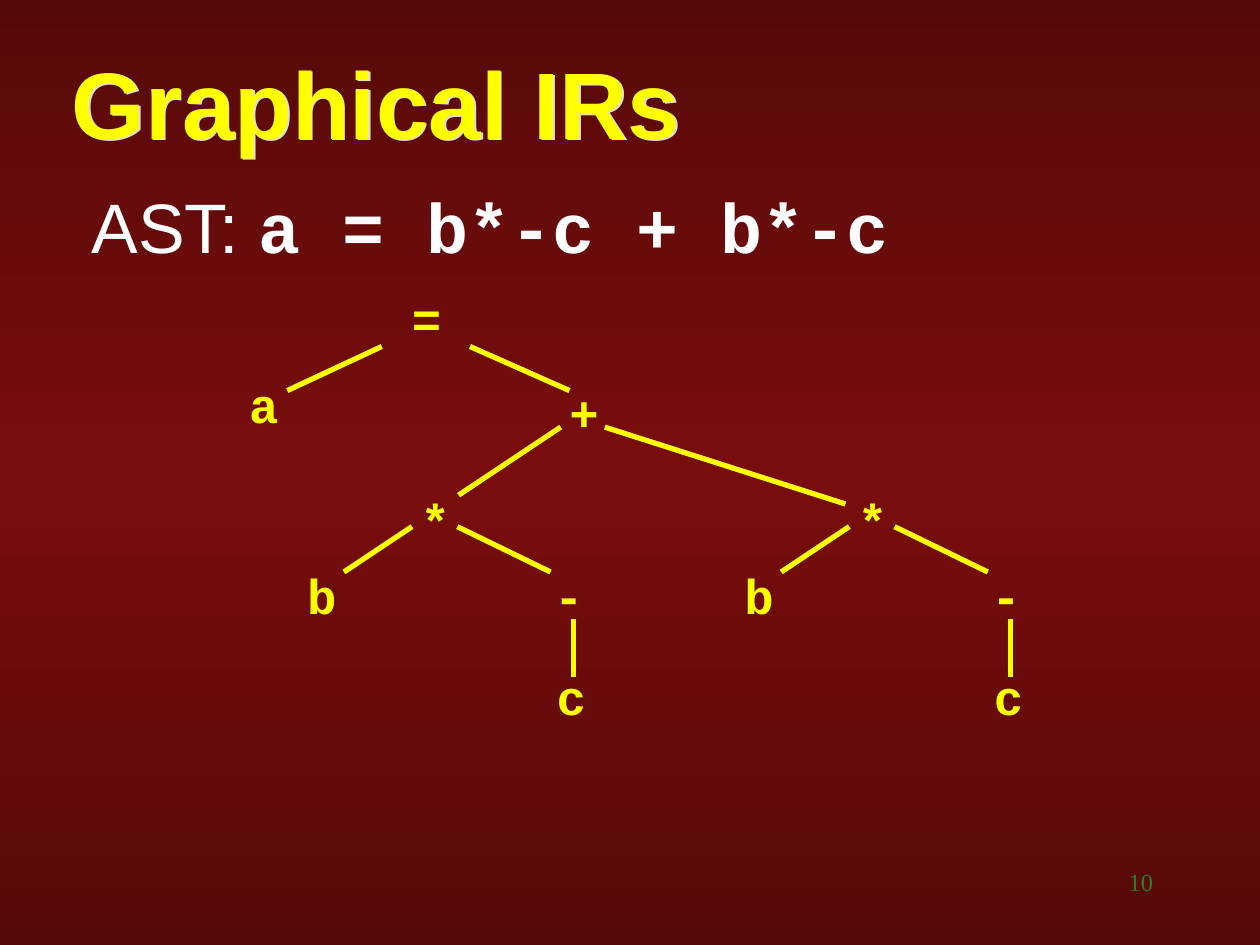
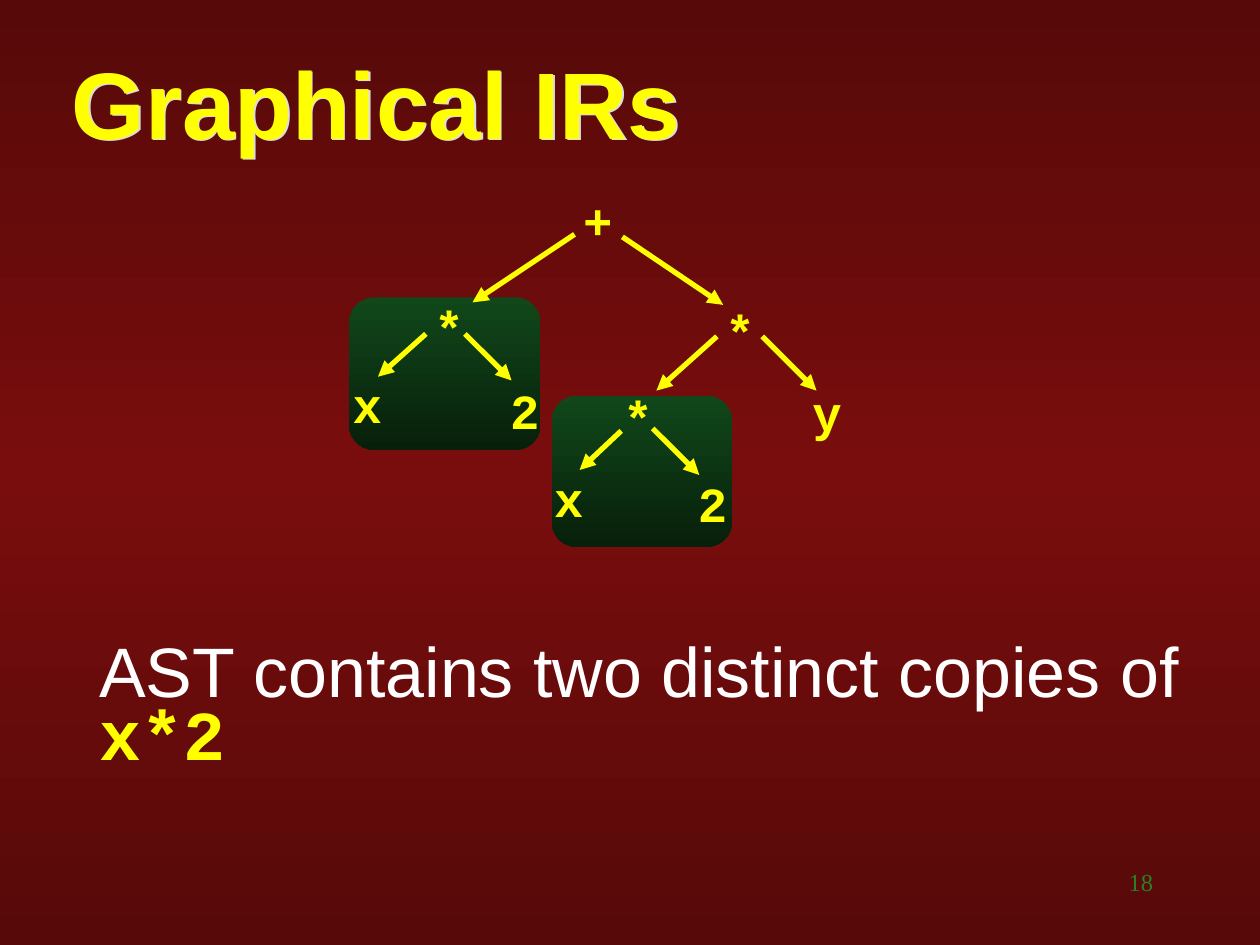
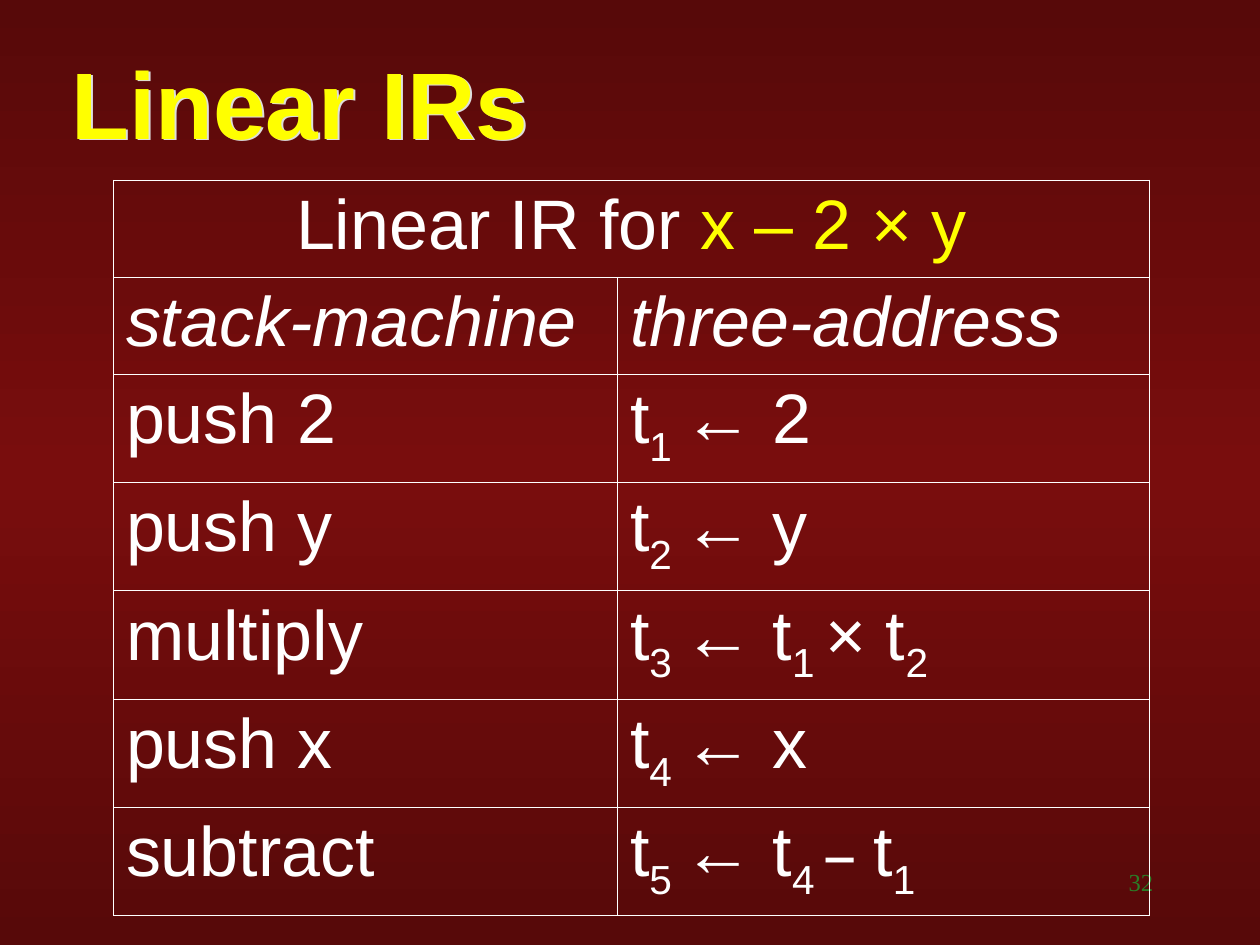
from dataclasses import dataclass

from lxml.etree import SubElement
from pptx import Presentation
from pptx.dml.color import RGBColor
from pptx.enum.shapes import MSO_CONNECTOR, MSO_SHAPE
from pptx.enum.text import MSO_ANCHOR, MSO_AUTO_SIZE as AutoSize, PP_ALIGN as Align
from pptx.oxml.ns import qn
from pptx.util import Inches, Pt

YELLOW = RGBColor(0xFF, 0xFF, 0x00)
WHITE = RGBColor(0xFF, 0xFF, 0xFF)
SHADOW = RGBColor(0xDD, 0xDD, 0xDD)
NUMBER_GREEN = RGBColor(0x2B, 0x7D, 0x27)
DARK_RED = RGBColor(0x57, 0x09, 0x09)
RED = RGBColor(0x79, 0x0D, 0x0D)
GREEN = RGBColor(0x11, 0x47, 0x1A)
DARK_GREEN = RGBColor(0x07, 0x20, 0x0B)

SANS, MONO, SERIF, DASH_FONT = "Arial", "Courier New", "Times New Roman", "League Spartan"
BODY_SIZE = 40


@dataclass(frozen=True)
class Span:
    text: str
    colour: RGBColor = WHITE
    font: str = SANS
    bold: bool = False
    italic: bool = False
    subscript: bool = False


@dataclass(frozen=True)
class Node:
    text: str
    left: float
    top: float


@dataclass(frozen=True)
class Edge:
    x1: float
    y1: float
    x2: float
    y2: float


@dataclass(frozen=True)
class Box:
    left: float
    top: float
    width: float
    height: float

    def lengths(self) -> list:
        return [Inches(n) for n in (self.left, self.top, self.width, self.height)]


TITLE_BOX = Box(0.47, 0.39, 9.2, 0.83)
NUMBER_BOX = Box(7.17, 6.83, 2.08, 0.5)

ASSIGNMENT_NODES = [Node("=", 3.17, 2.24), Node("a", 1.88, 2.92), Node("+", 4.42, 2.99)]
ASSIGNMENT_EDGES = [
    Edge(3.03, 2.75, 2.28, 3.1), Edge(3.73, 2.75, 4.52, 3.1),
    Edge(4.45, 3.39, 3.64, 3.93), Edge(4.8, 3.39, 6.71, 4),
]
PRODUCT_NODES = [
    Node("*", 3.24, 3.84), Node("b", 2.34, 4.44), Node("-", 4.3, 4.44), Node("c", 4.32, 5.24),
]
PRODUCT_EDGES = [
    Edge(3.27, 4.18, 2.73, 4.54), Edge(3.63, 4.18, 4.37, 4.54), Edge(4.55, 4.91, 4.55, 5.37),
]
PRODUCT_SHIFT = 3.47

COPY_BOXES = [Box(2.77, 2.36, 1.52, 1.21), Box(4.38, 3.14, 1.43, 1.2)]
SUM_NODES = [
    Node("+", 4.53, 1.46),
    Node("*", 3.35, 2.31), Node("x", 2.7, 2.92), Node("2", 3.95, 2.97),
    Node("*", 5.66, 2.34), Node("y", 6.35, 2.99),
    Node("*", 4.85, 3.03), Node("x", 4.3, 3.67), Node("2", 5.44, 3.71),
]
SUM_EDGES = [
    Edge(4.56, 1.86, 3.75, 2.4), Edge(4.94, 1.88, 5.74, 2.42),
    Edge(3.38, 2.65, 3, 2.99), Edge(3.69, 2.65, 4.06, 3.02),
    Edge(5.69, 2.67, 5.21, 3.1), Edge(6.05, 2.67, 6.48, 3.1),
    Edge(4.93, 3.42, 4.6, 3.73), Edge(5.18, 3.4, 5.55, 3.77),
]


def address(text: str) -> list[Span]:
    """Split at bars; every second part is a subscript."""
    return [Span(part, subscript=index % 2 == 1) for index, part in enumerate(text.split("|"))]


TABLE_BOX = Box(0.9, 1.43, 8.22, 5.44)
COLUMN_WIDTHS = [4, 4.22]
ROW_HEIGHTS = [0.77] * 2 + [0.86] * 5
TABLE_ROWS = [
    [[Span("Linear IR for"), Span(" x – 2 × y", YELLOW)], []],
    [[Span("stack-machine", italic=True)], [Span("three-address", italic=True)]],
    [[Span("push 2")], address("t|1 |← 2")],
    [[Span("push y")], address("t|2 |← y")],
    [[Span("multiply")], address("t|3 |← t|1 |× t|2")],
    [[Span("push x")], address("t|4 |← x")],
    [[Span("subtract")],
     address("t|5 |← t|4 ") + [Span("– ", font=DASH_FONT)] + address("t|1")],
]


def add_colour(parent, colour: RGBColor) -> None:
    SubElement(parent, qn("a:srgbClr"), val=str(colour))


def fill_gradient(owner, fill, colours: list[RGBColor]) -> None:
    """Fill from top to bottom with evenly spaced colours."""
    fill.gradient()
    gradient = next(owner.iter(qn("a:gradFill")))
    stops = gradient.find(qn("a:gsLst"))
    for stop in list(stops):
        stops.remove(stop)
    for index, colour in enumerate(colours):
        position = 100000 * index // (len(colours) - 1)
        add_colour(SubElement(stops, qn("a:gs"), pos=str(position)), colour)
    gradient.find(qn("a:lin")).set("ang", "5400000")


def write(para, spans: list[Span], size: float) -> None:
    para.font.size = Pt(size)
    for span in spans:
        run = para.add_run()
        run.text = span.text
        font = run.font
        font.name, font.bold, font.italic = span.font, span.bold, span.italic
        font.color.rgb = span.colour
        if span.subscript:
            run._r.get_or_add_rPr().set("baseline", "-25000")


def add_text(page, box: Box, spans: list[Span], size: float, wrap: bool = True):
    frame = page.shapes.add_textbox(*box.lengths()).text_frame
    frame.word_wrap = wrap
    if not wrap:
        frame.auto_size = AutoSize.SHAPE_TO_FIT_TEXT
    para = frame.paragraphs[0]
    write(para, spans, size)
    return para


def add_body(page, box: Box, spans: list[Span], line_spacing: float) -> None:
    para = add_text(page, box, spans, BODY_SIZE)
    para.line_spacing = line_spacing
    para.space_after = Pt(25)


def add_page(deck, title: str, number: int):
    page = deck.slides.add_slide(deck.slide_layouts[5])
    heading = page.shapes.title
    heading.left, heading.top, heading.width, heading.height = TITLE_BOX.lengths()
    frame = heading.text_frame
    frame.vertical_anchor = MSO_ANCHOR.MIDDLE
    frame.auto_size = AutoSize.NONE
    para = frame.paragraphs[0]
    para.alignment = Align.LEFT
    write(para, [Span(title, YELLOW, bold=True)], 54)
    effects = SubElement(heading.element.spPr, qn("a:effectLst"))
    shadow = SubElement(effects, qn("a:outerShdw"), dist="18000", dir="2700000", algn="ctr")
    add_colour(shadow, SHADOW)
    add_text(page, NUMBER_BOX, [Span(str(number), NUMBER_GREEN, SERIF)], 14).alignment = Align.RIGHT
    return page


def add_tree(page, nodes: list[Node], edges: list[Edge], shift: float = 0,
             arrows: bool = False) -> None:
    for node in nodes:
        add_text(page, Box(node.left + shift, node.top, 0.43, 0.57),
                 [Span(node.text, YELLOW, MONO, bold=True)], 28, wrap=False)
    for edge in edges:
        branch = page.shapes.add_connector(
            MSO_CONNECTOR.STRAIGHT, Inches(edge.x1 + shift), Inches(edge.y1),
            Inches(edge.x2 + shift), Inches(edge.y2))
        branch.line.color.rgb = YELLOW
        branch.line.width = Pt(3)
        properties = branch.element.spPr
        if arrows:
            SubElement(properties.find(qn("a:ln")), qn("a:tailEnd"), type="triangle")
        SubElement(properties, qn("a:effectLst"))


def add_copy_box(page, box: Box) -> None:
    shape = page.shapes.add_shape(MSO_SHAPE.ROUNDED_RECTANGLE, *box.lengths())
    shape.shadow.inherit = False
    shape.line.fill.background()
    fill_gradient(shape.element, shape.fill, [GREEN, DARK_GREEN])


def add_borders(cell) -> None:
    properties = cell._tc.get_or_add_tcPr()
    for side in ("lnL", "lnR", "lnT", "lnB"):
        line = SubElement(properties, qn(f"a:{side}"), w=str(Pt(0.45)))
        add_colour(SubElement(line, qn("a:solidFill")), WHITE)


def add_code_table(page) -> None:
    table = page.shapes.add_table(len(ROW_HEIGHTS), len(COLUMN_WIDTHS), *TABLE_BOX.lengths()).table
    table.first_row = table.horz_banding = False
    for column, width in zip(table.columns, COLUMN_WIDTHS):
        column.width = Inches(width)
    for row, height, contents in zip(table.rows, ROW_HEIGHTS, TABLE_ROWS):
        row.height = Inches(height)
        for cell, spans in zip(row.cells, contents):
            add_borders(cell)
            cell.fill.background()
            write(cell.text_frame.paragraphs[0], spans, BODY_SIZE)
    heading = table.cell(0, 0)
    heading.merge(table.cell(0, 1))
    heading.text_frame.paragraphs[0].alignment = Align.CENTER


def main() -> None:
    deck = Presentation()
    deck.slide_width, deck.slide_height = Inches(10), Inches(7.5)
    master = deck.slide_master
    fill_gradient(master.element, master.background.fill, [DARK_RED, RED, DARK_RED])

    page = add_page(deck, "Graphical IRs", 10)
    add_body(page, Box(0.63, 1.51, 8.94, 0.87),
             [Span("AST: "), Span("a = b*-c + b*-c", font=MONO, bold=True)], 0.85)
    add_tree(page, ASSIGNMENT_NODES, ASSIGNMENT_EDGES)
    for shift in (0, PRODUCT_SHIFT):
        add_tree(page, PRODUCT_NODES, PRODUCT_EDGES, shift)

    page = add_page(deck, "Graphical IRs", 18)
    for box in COPY_BOXES:
        add_copy_box(page, box)
    add_body(page, Box(0.69, 5.09, 8.94, 1.17),
             [Span("AST contains two distinct copies of "), Span("x*2", YELLOW, MONO, bold=True)],
             0.75)
    add_tree(page, SUM_NODES, SUM_EDGES, arrows=True)

    page = add_page(deck, "Linear IRs", 32)
    add_code_table(page)

    deck.save("out.pptx")


if __name__ == "__main__":
    main()
